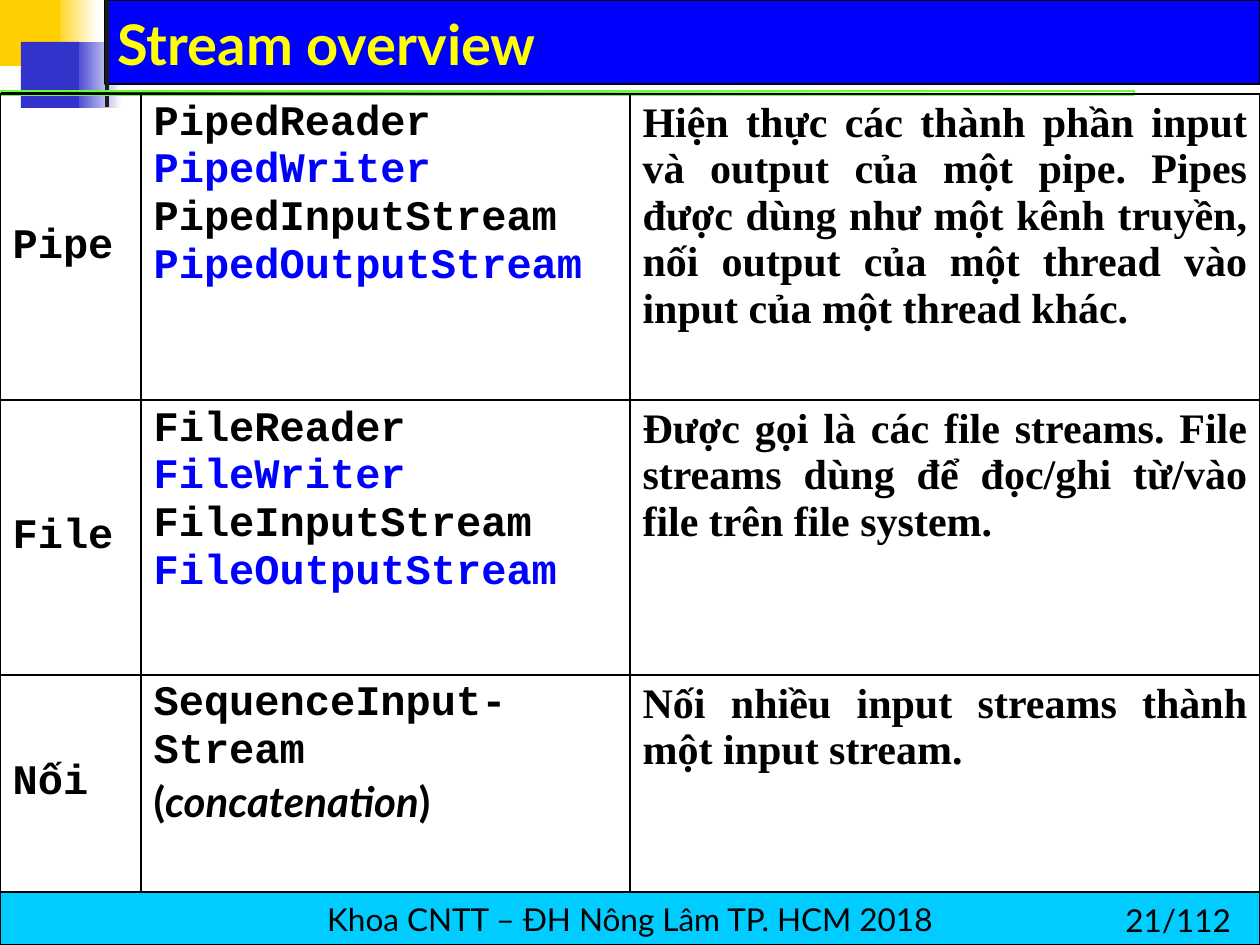
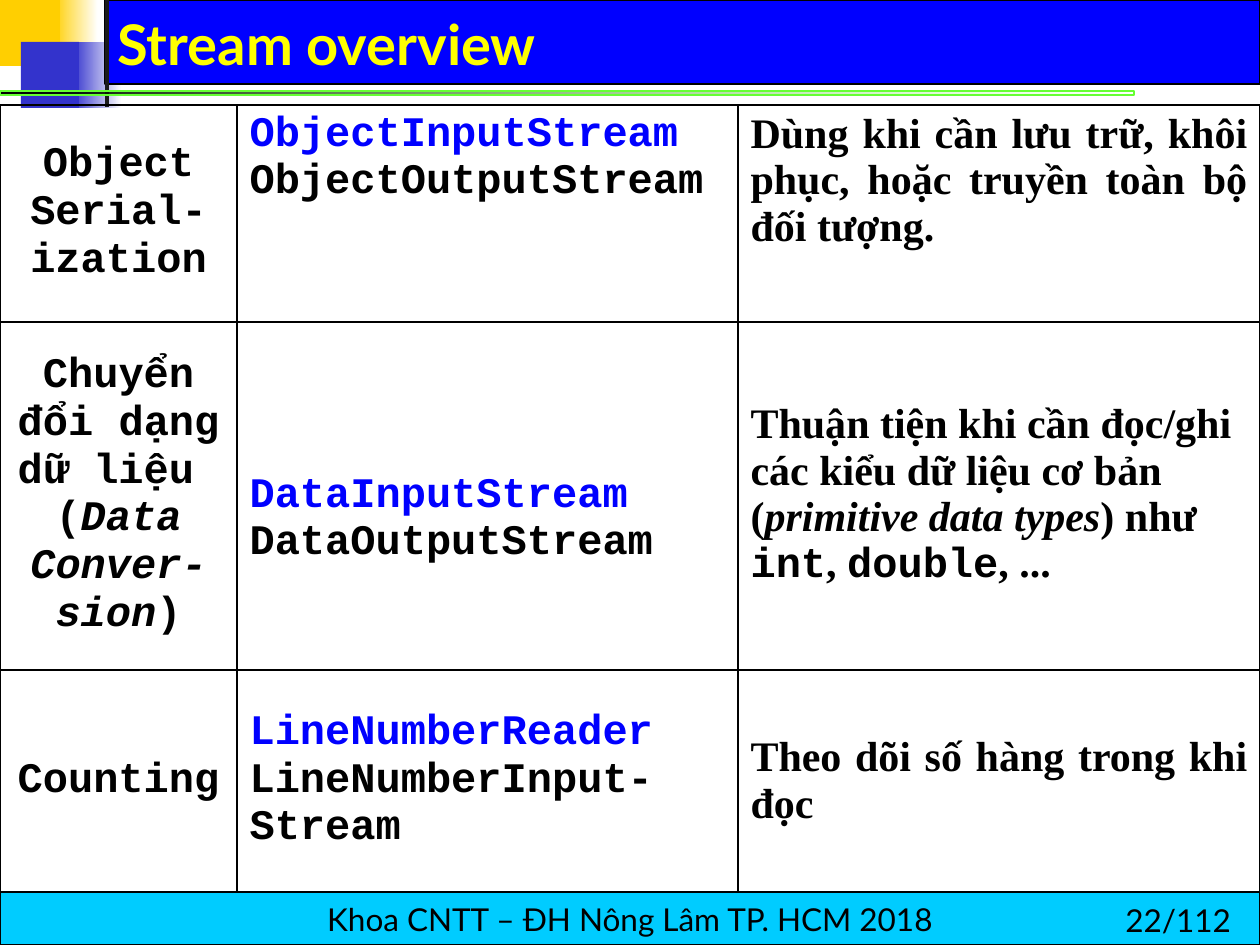
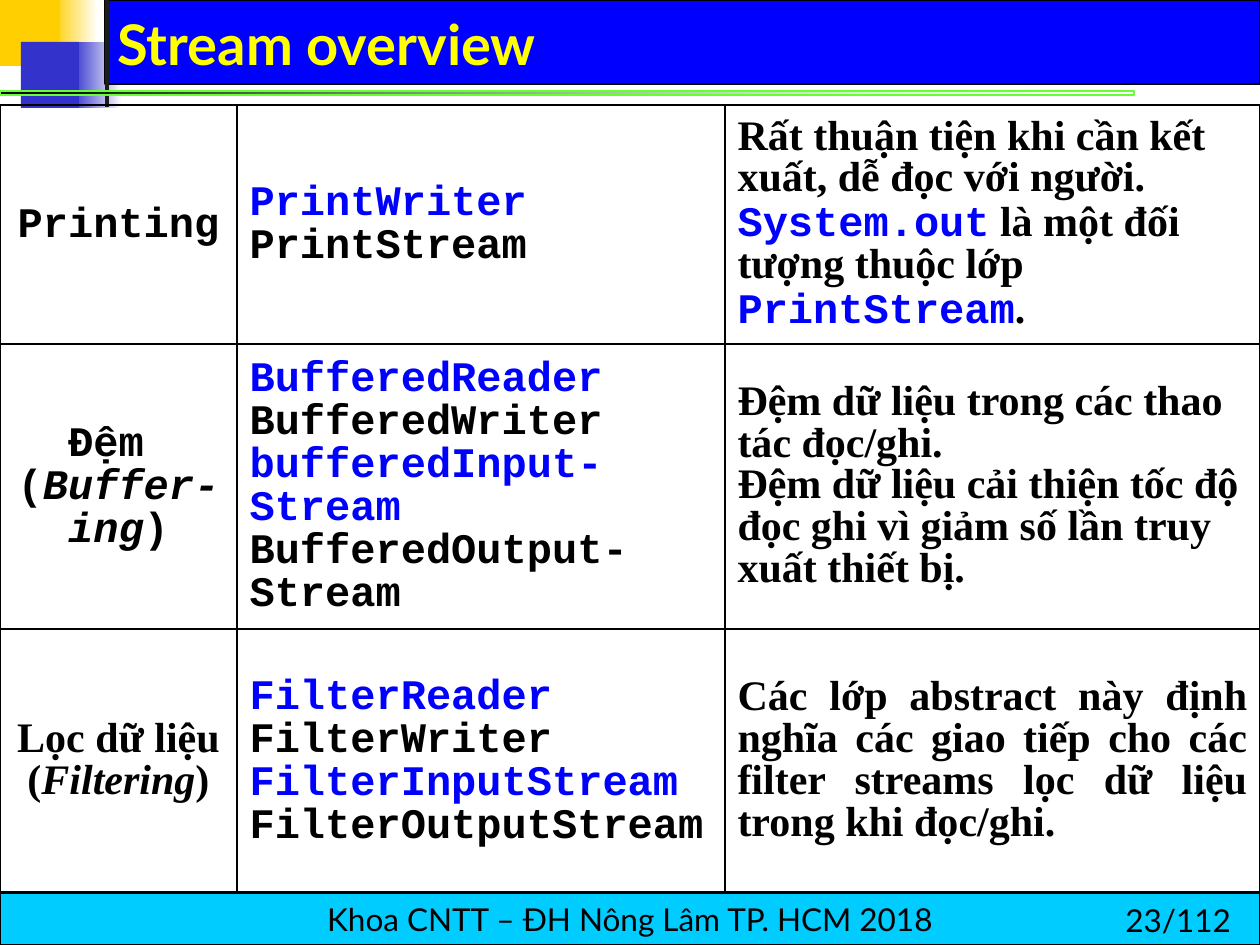
from lxml.etree import SubElement
from pptx import Presentation
from pptx.dml.color import RGBColor
from pptx.enum.shapes import MSO_SHAPE
from pptx.enum.text import MSO_ANCHOR, PP_ALIGN
from pptx.oxml.ns import qn
from pptx.util import Pt

SCALE = 914400 // 126
BLACK = RGBColor(0, 0, 0)
WHITE = RGBColor(0xFF, 0xFF, 0xFF)
BLUE = RGBColor(0, 0, 0xFF)
YELLOW = RGBColor(0xFF, 0xFF, 0)
GOLD = RGBColor(0xFF, 0xCF, 0x01)
INDIGO = RGBColor(0x33, 0x33, 0xCC)
COAL = RGBColor(0x1C, 0x1C, 0x1C)
GREEN = RGBColor(0x66, 0xFF, 0x33)
CYAN = RGBColor(0, 0xCC, 0xFF)
SANS, MONO, SERIF = "Lato", "Courier New", "Times New Roman"

LEFT, MID, JUST = PP_ALIGN.LEFT, PP_ALIGN.CENTER, PP_ALIGN.JUSTIFY
TOP, HALF, LOW = MSO_ANCHOR.TOP, MSO_ANCHOR.MIDDLE, MSO_ANCHOR.BOTTOM

BOLD = {"size": Pt(24), "bold": True, "italic": False}
PLAIN = {"size": Pt(18), "name": SANS}
HEAD = {"size": Pt(32), "name": SANS, "bold": True, "color": YELLOW}
FONTS = {
    "mono": {**BOLD, "name": MONO},
    "blue": {**BOLD, "name": MONO, "color": BLUE},
    "slant": {**BOLD, "name": MONO, "italic": True},
    "serif": {**BOLD, "name": SERIF},
    "lean": {**BOLD, "name": SERIF, "italic": True},
    "sans": {**BOLD, "name": SANS},
    "tilt": {**BOLD, "name": SANS, "italic": True},
}


def put(item, vals):
    """Set each value on the item."""
    for key, val in vals.items():
        setattr(item, key, val)


class Deck:
    """Holds the style and the current slide."""

    def __init__(self):
        """Open a deck of the right size."""
        self.prs = Presentation()
        put(self.prs, {"slide_width": 1260 * SCALE, "slide_height": 945 * SCALE})

    def box(self, *area):
        """Turn pixels into EMU."""
        return [val * SCALE for val in area]

    def rect(self, area, fill, fade=None, line=None, width=0.75):
        """Draw a rectangle, plain or fading to the right."""
        shape = self.slide.shapes.add_shape(MSO_SHAPE.RECTANGLE, *self.box(*area))
        shape.shadow.inherit = False
        if fade is None:
            shape.fill.solid()
            shape.fill.fore_color.rgb = fill
        else:
            shape.fill.gradient()
            shape.fill.gradient_angle = 0
            for stop, tone in zip(shape.fill.gradient_stops, (fill, fade)):
                stop.color.rgb = tone
        if line is None:
            shape.line.fill.background()
        else:
            shape.line.color.rgb = line
            shape.line.width = Pt(width)
        return shape

    def run(self, para, text, style):
        """Add styled text, with line breaks."""
        for num, part in enumerate(text.split("\n")):
            if num:
                para.add_line_break()
            if part:
                run = para.add_run()
                run.text = part
                vals = dict(style)
                run.font.color.rgb = vals.pop("color", BLACK)
                put(run.font, vals)

    def text(self, area, text, style, anchor=TOP):
        """Add a text box."""
        frame = self.slide.shapes.add_textbox(*self.box(*area)).text_frame
        put(frame, {"word_wrap": True, "vertical_anchor": anchor})
        self.run(frame.paragraphs[0], text, style)

    def edge(self, cell):
        """Draw the four borders of a cell."""
        props = cell._tc.get_or_add_tcPr()
        for side in "LRTB":
            line = SubElement(props, qn(f"a:ln{side}"), w="12700")
            fill = SubElement(line, qn("a:solidFill"))
            SubElement(fill, qn("a:srgbClr"), val=str(BLACK))
        cell.fill.background()

    def cell(self, cell, anchor, align, paras, space, inset=6):
        """Fill a cell with paragraphs of marked runs."""
        self.edge(cell)
        put(cell, {"vertical_anchor": anchor, "margin_top": inset * SCALE})
        frame = cell.text_frame
        for num, marks in enumerate(paras):
            para = frame.add_paragraph() if num else frame.paragraphs[0]
            put(para, {"alignment": align, "line_spacing": space})
            for mark in marks.split("|"):
                key, _, text = mark.partition(":")
                self.run(para, text, FONTS[key])

    def table(self, top, cols, rows, cells, space=None):
        """Add a bordered table."""
        area = self.box(0, top, sum(cols), sum(rows))
        grid = self.slide.shapes.add_table(len(rows), len(cols), *area).table
        put(grid, {"first_row": False, "horz_banding": False})
        for col, width in zip(grid.columns, cols):
            col.width = width * SCALE
        for row, height, line in zip(grid.rows, rows, cells):
            row.height = height * SCALE
            for cell, (anchor, align, paras, *inset) in zip(row.cells, line):
                self.cell(cell, anchor, align, paras, space, *inset)

    def page(self, num):
        """Start a slide with its bands, title and footer."""
        self.slide = self.prs.slides.add_slide(self.prs.slide_layouts[6])
        self.rect((53, 0, 45, 66), GOLD, WHITE)
        self.rect((72, 42, 50, 66), INDIGO, WHITE)
        self.rect((105, 0, 1155, 84), BLUE, line=BLACK)
        self.rect((0, 0, 60, 66), GOLD)
        self.rect((21, 42, 58, 66), INDIGO)
        self.rect((105, 0, 4, 107), COAL)
        rule = self.rect((0, 91, 1134, 4), BLACK, GREEN, GREEN, 0)
        tone = rule._element.xpath(".//a:gs")[-1][0]
        SubElement(tone, qn("a:alpha"), val="0")
        foot = self.rect((0, 892, 1260, 53), CYAN, line=BLACK).text_frame
        put(foot, {"word_wrap": False, "vertical_anchor": HALF})
        foot.paragraphs[0].alignment = MID
        self.run(foot.paragraphs[0], "Khoa CNTT – ĐH Nông Lâm TP. HCM 2018", PLAIN)
        self.text((1113, 895, 147, 50), f"{num}/112", PLAIN)
        self.text((105, 10, 1126, 73), "Stream overview", HEAD, LOW)


PIPES = [
    [
        (HALF, LEFT, ["mono:Pipe"]),
        (TOP, LEFT, ["mono:PipedReader\n|blue:PipedWriter",
                     "mono:PipedInputStream\n|blue:PipedOutputStream"]),
        (TOP, JUST, ["serif:Hiện thực các thành phần input và output của một pipe. "
                     "Pipes được dùng như một kênh truyền, nối output của một "
                     "thread vào input của một thread khác."]),
    ],
    [
        (HALF, LEFT, ["mono:File"]),
        (TOP, LEFT, ["mono:FileReader\n|blue:FileWriter",
                     "mono:FileInputStream\n|blue:FileOutputStream"]),
        (TOP, JUST, ["serif:Được gọi là các file streams. File streams dùng để "
                     "đọc/ghi từ/vào file trên file system."]),
    ],
    [
        (HALF, LEFT, ["mono:Nối"]),
        (TOP, LEFT, ["mono:SequenceInput-\nStream",
                     "sans:(|tilt:concatenation|sans:)"]),
        (TOP, JUST, ["serif:Nối nhiều input streams thành một input stream."]),
    ],
]
DATA = [
    [
        (HALF, MID, ["mono:Object\nSerial-\nization"]),
        (TOP, LEFT, ["blue:ObjectInputStream\n|mono:ObjectOutputStream"]),
        (TOP, JUST, ["serif:Dùng khi cần lưu trữ, khôi phục, hoặc truyền toàn bộ "
                     "đối tượng."]),
    ],
    [
        (HALF, MID, ["mono:Chuyển đổi dạng dữ liệu \n(|slant:Data Conver-sion|mono:)"]),
        (HALF, LEFT, ["blue:DataInputStream\n|mono:DataOutputStream"], 54),
        (HALF, LEFT, ["serif:Thuận tiện khi cần đọc/ghi các kiểu dữ liệu cơ bản (|"
                      "lean:primitive data types|serif:) như |mono:int|serif:, |"
                      "mono:double|serif:, ... "]),
    ],
    [
        (HALF, MID, ["mono:Counting"]),
        (HALF, LEFT, ["blue:LineNumberReader|mono: LineNumberInput-\nStream"]),
        (HALF, JUST, ["serif:Theo dõi số hàng trong khi đọc"]),
    ],
]
PRINT = [
    [
        (HALF, MID, ["mono:Printing"]),
        (HALF, LEFT, ["blue:PrintWriter", "mono:PrintStream"]),
        (HALF, LEFT, ["serif:Rất thuận tiện khi cần kết xuất, dễ đọc với người. |"
                      "blue:System.out|serif: là một đối tượng thuộc lớp |"
                      "blue:PrintStream|serif:."]),
    ],
    [
        (HALF, MID, ["mono:Đệm ", "mono:(|slant:Buffer-ing|mono:)"]),
        (HALF, LEFT, ["blue:BufferedReader\n|mono:BufferedWriter",
                      "blue:bufferedInput-Stream\n|mono:BufferedOutput-Stream"]),
        (HALF, LEFT, ["serif:Đệm dữ liệu trong các thao tác đọc/ghi.",
                      "serif:Đệm dữ liệu cải thiện tốc độ đọc ghi vì giảm số lần "
                      "truy xuất thiết bị."]),
    ],
    [
        (HALF, MID, ["serif:Lọc dữ liệu (|lean:Filtering|serif:)"]),
        (HALF, LEFT, ["blue:FilterReader\n|mono:FilterWriter",
                      "blue:FilterInputStream\n|mono:FilterOutputStream"]),
        (HALF, JUST, ["serif:Các lớp abstract này định nghĩa các giao tiếp cho các "
                      "filter streams lọc dữ liệu trong khi đọc/ghi."]),
    ],
]
PAGES = [
    (94, (141, 489, 630), (306, 275, 217), PIPES),
    (105, (237, 501, 522), (217, 348, 222), DATA),
    (105, (237, 488, 535), (239, 285, 264), PRINT, 0.9),
]

deck = Deck()
for num, args in enumerate(PAGES, 21):
    deck.page(num)
    deck.table(*args)
deck.prs.save("out.pptx")
